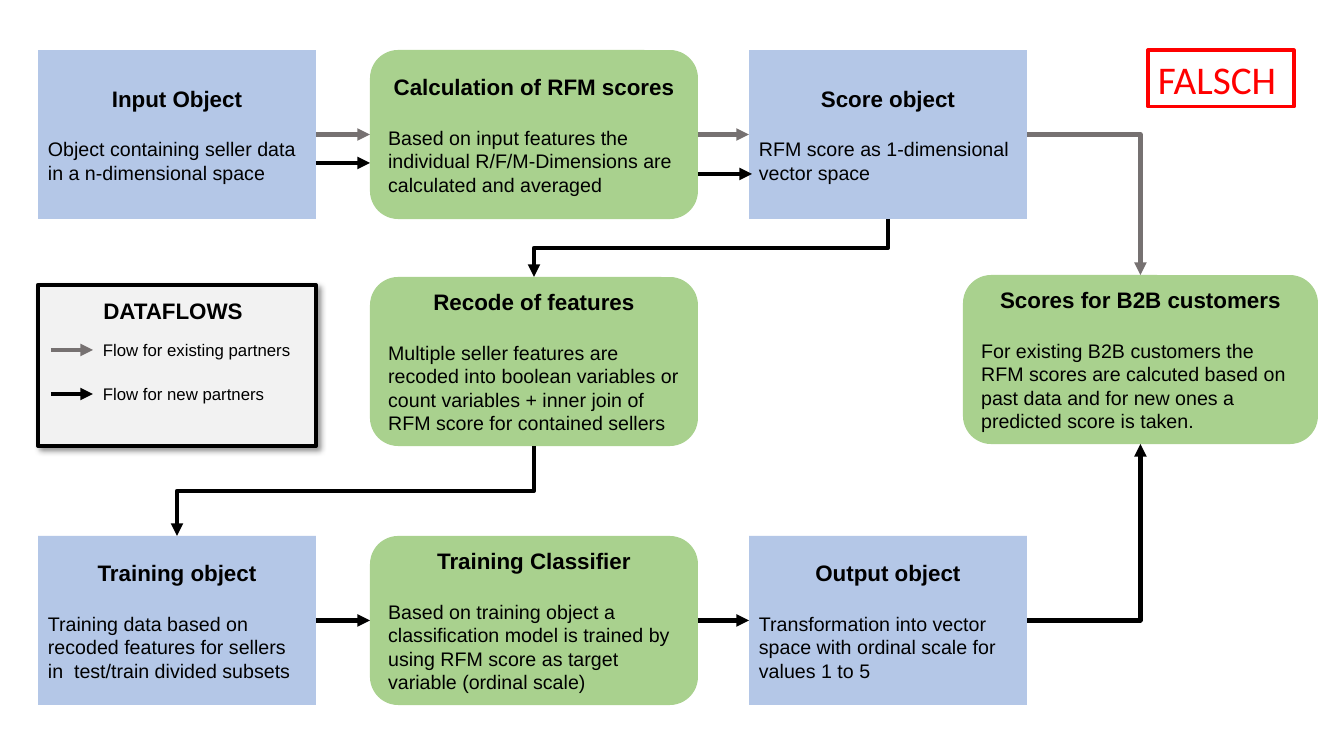
from dataclasses import dataclass

from lxml import etree
from pptx import Presentation
from pptx.dml.color import RGBColor
from pptx.enum.shapes import MSO_CONNECTOR, MSO_SHAPE
from pptx.enum.text import MSO_ANCHOR, PP_ALIGN
from pptx.oxml.ns import qn
from pptx.util import Pt

RECT, ROUND = MSO_SHAPE.RECTANGLE, MSO_SHAPE.ROUNDED_RECTANGLE
STRAIGHT, ELBOW = MSO_CONNECTOR.STRAIGHT, MSO_CONNECTOR.ELBOW
LEFT, CENTER = PP_ALIGN.LEFT, PP_ALIGN.CENTER
TOP, MIDDLE = MSO_ANCHOR.TOP, MSO_ANCHOR.MIDDLE
TOP_SITE, LEFT_SITE, BOTTOM_SITE, RIGHT_SITE = range(4)
SCALE = 914400 / 100.8


@dataclass(frozen=True)
class Theme:
    data: str = "B4C7E7"
    process: str = "A9D18E"
    panel: str = "F2F2F2"
    existing: str = "767171"
    new: str = "000000"
    text: str = "000000"
    alert: str = "FF0000"
    font: str = "Arial"
    alert_font: str = "Calibri"
    title: float = 16
    body: float = 14
    legend: float = 12
    stamp: float = 28
    gap: float = 18.4
    line: float = 3
    stamp_line: float = 2.25


def px(*values):
    return [round(v * SCALE) for v in values]


def rgb(value):
    return RGBColor.from_string(value)


class Board:
    """Draws the flow chart elements on one slide in one theme."""

    def __init__(self, slide, theme):
        self.shapes, self.theme = slide.shapes, theme

    def group(self):
        self.shapes = self.shapes.add_group_shape().shapes

    def box(self, kind, at, fill=None, line=None, width=0):
        sp = self.shapes.add_shape(kind, *px(*at))
        sp.shadow.inherit = False
        if fill:
            sp.fill.solid()
            sp.fill.fore_color.rgb = rgb(fill)
        else:
            sp.fill.background()
        if line:
            sp.line.color.rgb = rgb(line)
            sp.line.width = Pt(width)
        else:
            sp.line.fill.background()
        return sp

    def set_text(self, p, text, size, bold=False, align=LEFT, color=None, font=None):
        p.text, p.alignment = text, align
        p.font.size, p.font.bold = Pt(size), bold
        p.font.name = font or self.theme.font
        p.font.color.rgb = rgb(color or self.theme.text)

    def card(self, kind, at, title, body):
        t = self.theme
        sp = self.box(kind, at, t.process if kind == ROUND else t.data)
        tf = sp.text_frame
        tf.vertical_anchor = MIDDLE
        self.set_text(tf.paragraphs[0], title, t.title, True, CENTER)
        p = tf.add_paragraph()
        self.set_text(p, body, t.body)
        p.space_before = Pt(t.gap)
        return sp

    def label(self, at, text, size, bold=False, align=LEFT):
        tf = self.shapes.add_textbox(*px(*at)).text_frame
        tf.word_wrap, tf.vertical_anchor = True, MIDDLE
        self.set_text(tf.paragraphs[0], text, size, bold, align)

    def panel(self, at):
        t = self.theme
        sp = self.box(RECT, at, t.panel, t.new, t.line)
        effects = sp._element.spPr.find(qn("a:effectLst"))
        shadow = etree.SubElement(effects, qn("a:outerShdw"), blurRad="50800",
                                  dist="38100", dir="2700000", algn="tl", rotWithShape="0")
        color = etree.SubElement(shadow, qn("a:srgbClr"), val=t.new)
        etree.SubElement(color, qn("a:alpha"), val="40000")

    def stamp(self, at, text):
        t = self.theme
        tf = self.box(RECT, at, None, t.alert, t.stamp_line).text_frame
        tf.vertical_anchor = TOP
        self.set_text(tf.paragraphs[0], text, t.stamp, color=t.alert, font=t.alert_font)

    def arrow(self, color, points=(0, 0, 0, 0), kind=STRAIGHT):
        c = self.shapes.add_connector(kind, *px(*points))
        c.line.color.rgb = rgb(color)
        c.line.width = Pt(self.theme.line)
        spPr = c._element.spPr
        etree.SubElement(spPr.find(qn("a:ln")), qn("a:tailEnd"), type="triangle")
        etree.SubElement(spPr, qn("a:effectLst"))
        return c

    def link(self, color, start, start_site, end, end_site, kind=STRAIGHT):
        c = self.arrow(color, kind=kind)
        c.begin_connect(start, start_site)
        c.end_connect(end, end_site)
        return c

    def corner(self, color, start, end, end_site):
        c = self.link(color, start, RIGHT_SITE, end, end_site, ELBOW)
        c._element.spPr.find(qn("a:prstGeom")).set("prst", "bentConnector2")

    def step_down(self, color, start, end):
        c = self.link(color, start, BOTTOM_SITE, end, TOP_SITE, ELBOW)
        shift = (c.width - c.height) // 2
        c.left, c.top, c.width, c.height = c.left + shift, c.top - shift, c.height, c.width
        xfrm = c._element.spPr.find(qn("a:xfrm"))
        xfrm.attrib.pop("flipH", None)
        xfrm.set("rot", "5400000")


prs = Presentation()
prs.slide_width, prs.slide_height = px(1344, 756)
theme = Theme()
board = Board(prs.slides.add_slide(prs.slide_layouts[6]), theme)

H = 169
COL1, COL2, COL3 = (38, 278), (370, 328), (749, 278)
ROW1, ROW2, ROW3 = 50, 277, 536
CARDS = {
    "input": (RECT, COL1, ROW1, "Input Object",
              "Object containing seller data in a n-dimensional space"),
    "calculation": (ROUND, COL2, ROW1, "Calculation of RFM scores",
                    "Based on input features the individual R/F/M-Dimensions are "
                    "calculated and averaged"),
    "score": (RECT, COL3, ROW1, "Score object", "RFM score as 1-dimensional vector space"),
    "recode": (ROUND, COL2, ROW2, "Recode of features",
               "Multiple seller features are recoded into boolean variables or count "
               "variables + inner join of RFM score for contained sellers"),
    "training": (RECT, COL1, ROW3, "Training object",
                 "Training data based on recoded features for sellers in  test/train "
                 "divided subsets"),
    "classifier": (ROUND, COL2, ROW3, "Training Classifier",
                   "Based on training object a classification model is trained by using "
                   "RFM score as target variable (ordinal scale)"),
    "output": (RECT, COL3, ROW3, "Output object",
               "Transformation into vector space with ordinal scale for values 1 to 5"),
    "customers": (ROUND, (963, 355), 275, "Scores for B2B customers",
                  "For existing B2B customers the RFM scores are calcuted based on past "
                  "data and for new ones a predicted score is taken."),
}
cards = {name: board.card(kind, (x, y, w, H), title, body)
         for name, (kind, (x, w), y, title, body) in CARDS.items()}

for color, start, end in [(theme.existing, "input", "calculation"),
                          (theme.existing, "calculation", "score"),
                          (theme.new, "training", "classifier"),
                          (theme.new, "classifier", "output")]:
    board.link(color, cards[start], RIGHT_SITE, cards[end], LEFT_SITE)
for points in [(316, 163, 370, 163), (698, 174, 752, 174)]:
    board.arrow(theme.new, points)
for start, end in [("score", "recode"), ("recode", "training")]:
    board.step_down(theme.new, cards[start], cards[end])
board.corner(theme.existing, cards["score"], cards["customers"], TOP_SITE)
board.corner(theme.new, cards["output"], cards["customers"], BOTTOM_SITE)

board.stamp((1148, 50, 146, 57), "FALSCH")

board.group()
board.panel((38, 285, 278, 161))
board.label((93, 293, 160, 35), "DATAFLOWS", theme.title, True, CENTER)
for y, color, text in [(350, theme.existing, "Flow for existing partners"),
                       (394, theme.new, "Flow for new partners")]:
    board.arrow(color, (51, y, 93, y))
    board.label((93, y - 12, 224, 24), text, theme.legend)

prs.save("out.pptx")
